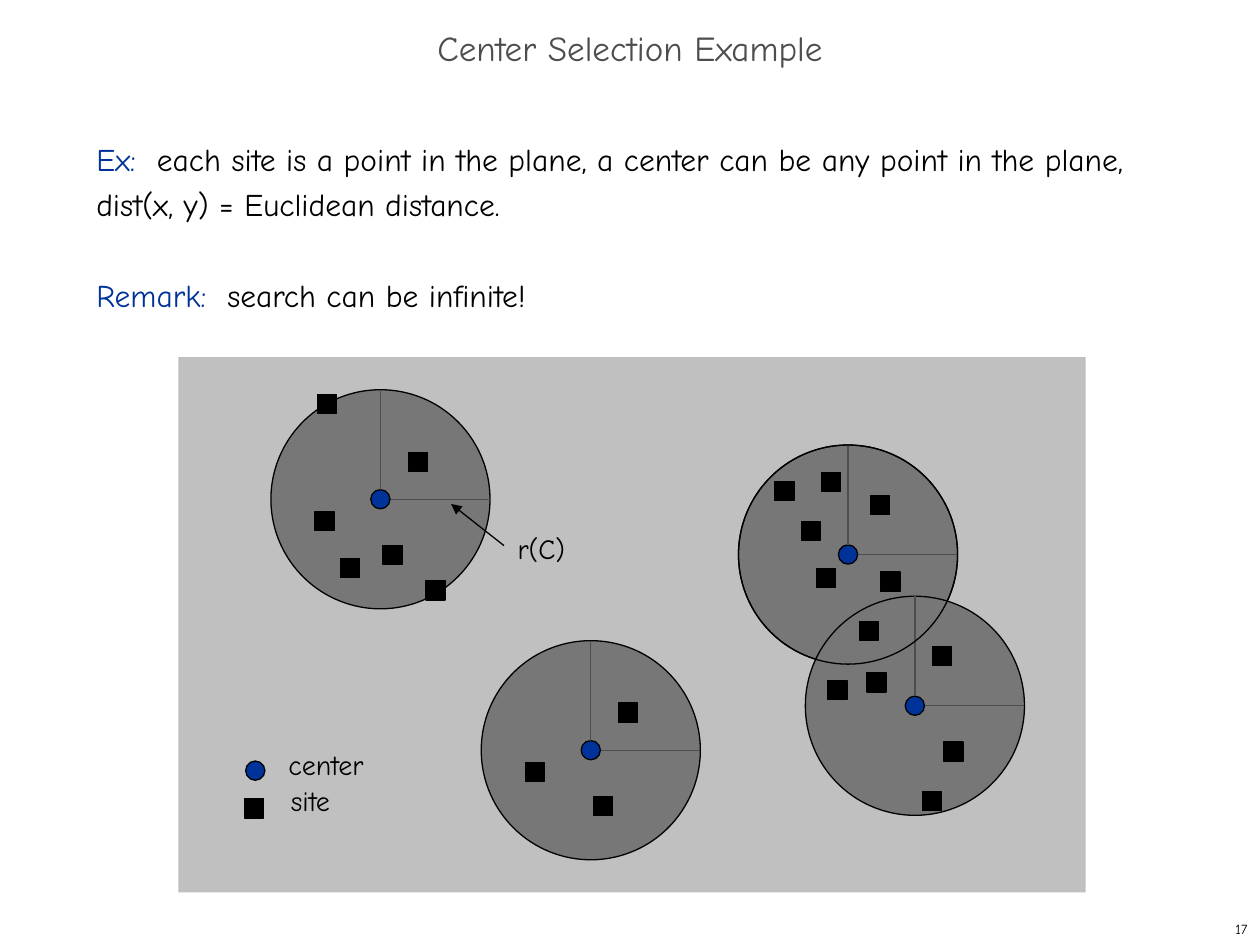
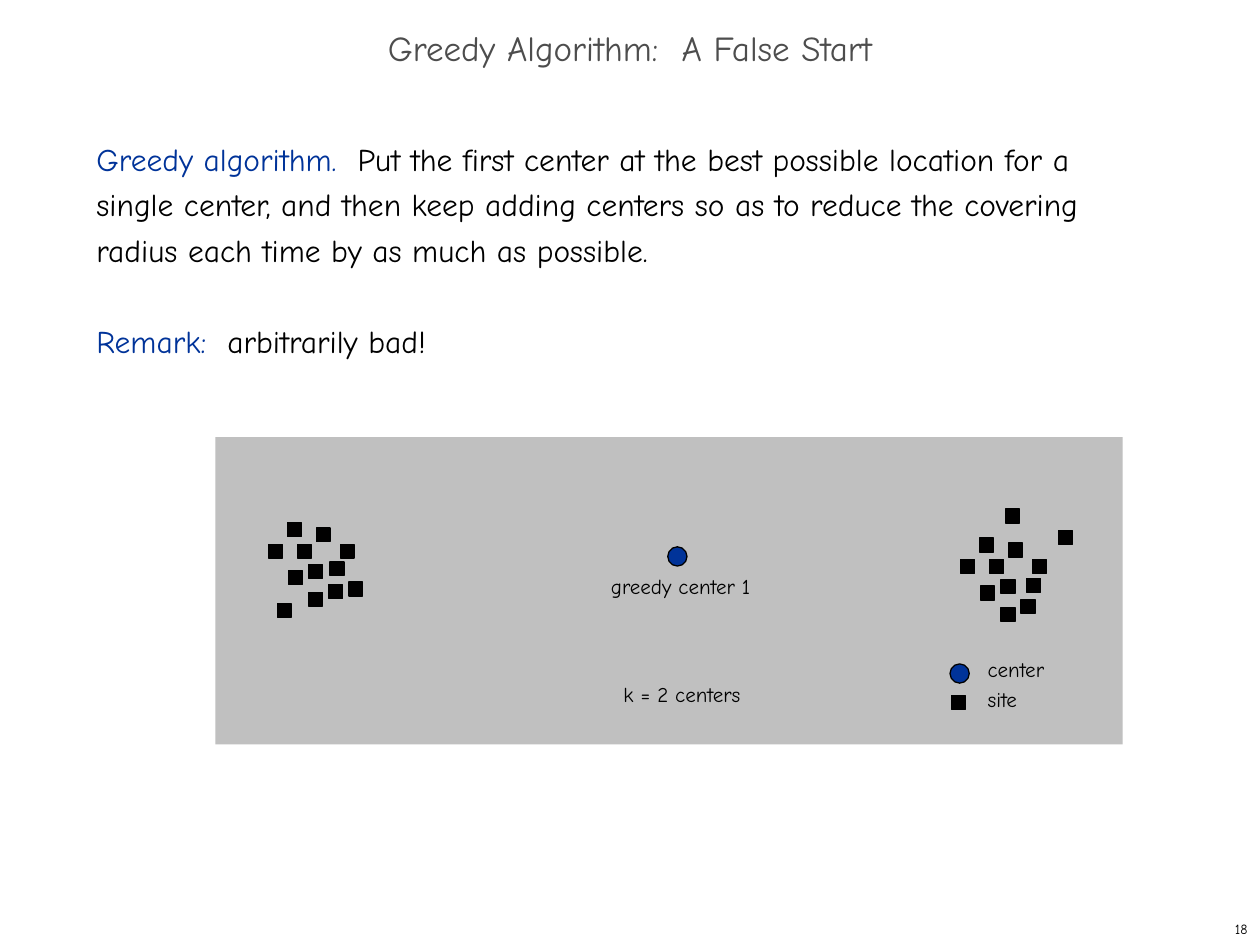
import pptx
import pptx.util
import pptx.dml.color
import pptx.enum.shapes
import pptx.enum.text
import pptx.oxml
import pptx.oxml.ns

Pt = pptx.util.Pt
SHAPE = pptx.enum.shapes.MSO_SHAPE
ALIGN = pptx.enum.text.PP_ALIGN
ANCHOR = pptx.enum.text.MSO_ANCHOR
AUTO_SIZE = pptx.enum.text.MSO_AUTO_SIZE

FONT = "Comic Neue"
BLACK, BLUE, DARK = "000000", "003399", "4D4D4D"
PANEL, DISK, SMALL_SITE = "C0C0C0", "777777", "010000"
DOT, SMALL, RADIUS, LINE = 11, 8, 62.6, 0.75
BODY_LEADING = Pt(26)

COVER_CENTERS = [(217.4, 285.3), (484.6, 316.9), (522.8, 403.3), (337.6, 428.7)]
COVER_SITES = [
    (181.4, 225.4), (233.3, 258.5), (180, 292.3), (194.4, 319),
    (218.9, 311.8), (243.4, 331.9),
    (442.8, 275), (469.4, 270), (497.5, 283), (457.9, 298.1),
    (466.6, 324.7), (503.3, 326.9), (491, 355),
    (532.8, 369.4), (495.4, 384.5), (473, 388.8), (539.3, 424.1),
    (527, 452.2),
    (353.5, 401.8), (300.2, 435.6), (339.1, 455),
]
CLUSTER = [
    (164.2, 298.8), (169.9, 311), (176.4, 322.6), (180.7, 301.7), (176.4, 338.4),
    (153.4, 311), (164.9, 326.2), (187.9, 334.1), (194.4, 311),
]
CLUSTER_SHIFT = (395.6, 8.7)
LEFT_EXTRAS = [(188.6, 321.1), (199.4, 332.6), (158.4, 344.9)]
RIGHT_EXTRAS = [(574.6, 290.9), (586.8, 330.5), (604.8, 303.1)]


def rgb(color):
    return pptx.dml.color.RGBColor.from_string(color)


def set_font(font, size, color):
    font.name = FONT
    font.size = Pt(size)
    font.color.rgb = rgb(color)


def add_shape(s, kind, x, y, w, h, fill=None, line=None):
    sp = s.shapes.add_shape(kind, Pt(x), Pt(y), Pt(w), Pt(h))
    sp.shadow.inherit = False
    if fill:
        sp.fill.solid()
        sp.fill.fore_color.rgb = rgb(fill)
    else:
        sp.fill.background()
    if line:
        sp.line.color.rgb = rgb(line)
        sp.line.width = Pt(LINE)
    else:
        sp.line.fill.background()


def add_center(s, x, y):
    add_shape(s, SHAPE.OVAL, x, y, DOT, DOT, BLUE, BLACK)


def add_site(s, x, y, size=DOT, fill=BLACK):
    add_shape(s, SHAPE.RECTANGLE, x, y, size, size, fill, BLACK)


def add_disk(s, cx, cy, fill=DISK):
    add_shape(s, SHAPE.OVAL, cx - RADIUS, cy - RADIUS, 2 * RADIUS, 2 * RADIUS,
              fill, BLACK)


def add_line(s, x1, y1, x2, y2, color, arrow=False):
    c = s.shapes.add_connector(pptx.enum.shapes.MSO_CONNECTOR.STRAIGHT,
                               Pt(x1), Pt(y1), Pt(x2), Pt(y2))
    c.line.color.rgb = rgb(color)
    c.line.width = Pt(LINE)
    if arrow:
        ln = c.line._get_or_add_ln()
        ln.append(pptx.oxml.parse_xml(
            f'<a:tailEnd {pptx.oxml.ns.nsdecls("a")} type="triangle"/>'))
    c._element.spPr.append(pptx.oxml.parse_xml(
        f'<a:effectLst {pptx.oxml.ns.nsdecls("a")}/>'))


def add_cover(s, cx, cy):
    add_disk(s, cx, cy)
    half = DOT / 2
    add_line(s, cx + half, cy, cx + RADIUS, cy, DARK)
    add_center(s, cx - half, cy - half)
    add_line(s, cx, cy - half, cx, cy - RADIUS, DARK)


def add_label(s, text, x, y, w, size):
    tf = s.shapes.add_textbox(Pt(x), Pt(y), Pt(w), Pt(1.2 * size + 7.2)).text_frame
    tf.word_wrap = False
    tf.auto_size = AUTO_SIZE.SHAPE_TO_FIT_TEXT
    p = tf.paragraphs[0]
    p.text = text
    set_font(p.font, size, BLACK)


def add_body(s, paragraphs):
    tf = s.shapes.add_textbox(Pt(48), Pt(72), Pt(618), Pt(426)).text_frame
    tf.word_wrap = True
    for i, (lead, rest) in enumerate(paragraphs):
        p = tf.add_paragraph() if i else tf.paragraphs[0]
        p.line_spacing = BODY_LEADING
        if i:
            p.space_before = BODY_LEADING
        for text, color in ((lead + "  ", BLUE), (rest, BLACK)):
            r = p.add_run()
            r.text = text
            set_font(r.font, 18, color)


def add_slide(prs, title, number, panel, paragraphs):
    s = prs.slides.add_slide(prs.slide_layouts[5])
    add_shape(s, SHAPE.RECTANGLE, *panel, PANEL)
    sp = s.shapes.title
    sp.left, sp.top, sp.width, sp.height = Pt(0), Pt(12), Pt(720), Pt(36)
    tf = sp.text_frame
    tf.text = title
    tf.auto_size = AUTO_SIZE.NONE
    tf.vertical_anchor = ANCHOR.MIDDLE
    p = tf.paragraphs[0]
    p.alignment = ALIGN.CENTER
    p.line_spacing = 0.7
    set_font(p.font, 20, DARK)
    add_body(s, paragraphs)
    tf = s.shapes.add_textbox(Pt(570), Pt(522), Pt(150), Pt(18)).text_frame
    tf.word_wrap = True
    tf.vertical_anchor = ANCHOR.MIDDLE
    p = tf.paragraphs[0]
    p.text = str(number)
    p.alignment = ALIGN.RIGHT
    set_font(p.font, 8, BLACK)
    return s


def add_example_slide(prs):
    s = add_slide(prs, "Center Selection Example", 17, (102, 204, 518.4, 306), [
        ("Ex:", "each site is a point in the plane, a center can be any point "
                "in the plane, dist(x, y) = Euclidean distance."),
        ("Remark:", "search can be infinite!"),
    ])
    for cx, cy in COVER_CENTERS:
        add_cover(s, cx, cy)
    add_disk(s, *COVER_CENTERS[1], fill=None)
    for x, y in COVER_SITES:
        add_site(s, x, y)
    add_label(s, "r(C)", 288.7, 300.2, 41.8, 16)
    add_line(s, 288, 311.8, 257.8, 288, BLACK, arrow=True)
    add_center(s, 140.4, 434.9)
    add_label(s, "center", 157.7, 423.4, 58.3, 16)
    add_site(s, 139.7, 456.5)
    add_label(s, "site", 159.1, 444.2, 37.4, 16)


def add_greedy_slide(prs):
    s = add_slide(prs, "Greedy Algorithm:  A False Start", 18,
                  (123.1, 249.8, 518.4, 175.7), [
        ("Greedy algorithm.", "Put the first center at the best possible location "
                              "for a single center, and then keep adding centers so "
                              "as to reduce the covering radius each time by as "
                              "much as possible."),
        ("Remark:", "arbitrarily bad!"),
    ])
    add_center(s, 381.6, 312.5)
    add_label(s, "greedy center 1", 342, 324, 95, 12)
    dx, dy = CLUSTER_SHIFT
    right_cluster = [(x + dx, y + dy) for x, y in CLUSTER]
    for x, y in CLUSTER + LEFT_EXTRAS + right_cluster + RIGHT_EXTRAS:
        add_site(s, x, y, SMALL, SMALL_SITE)
    add_label(s, "k = 2 centers", 349.2, 385.9, 82.1, 12)
    add_center(s, 542.9, 379.4)
    add_label(s, "center", 557.3, 371.5, 47.5, 12)
    add_site(s, 543.6, 397.4, SMALL, SMALL_SITE)
    add_label(s, "site", 557.3, 388.8, 31.7, 12)


def main():
    prs = pptx.Presentation()
    prs.slide_width, prs.slide_height = Pt(720), Pt(540)
    add_example_slide(prs)
    add_greedy_slide(prs)
    prs.save("out.pptx")


if __name__ == "__main__":
    main()
